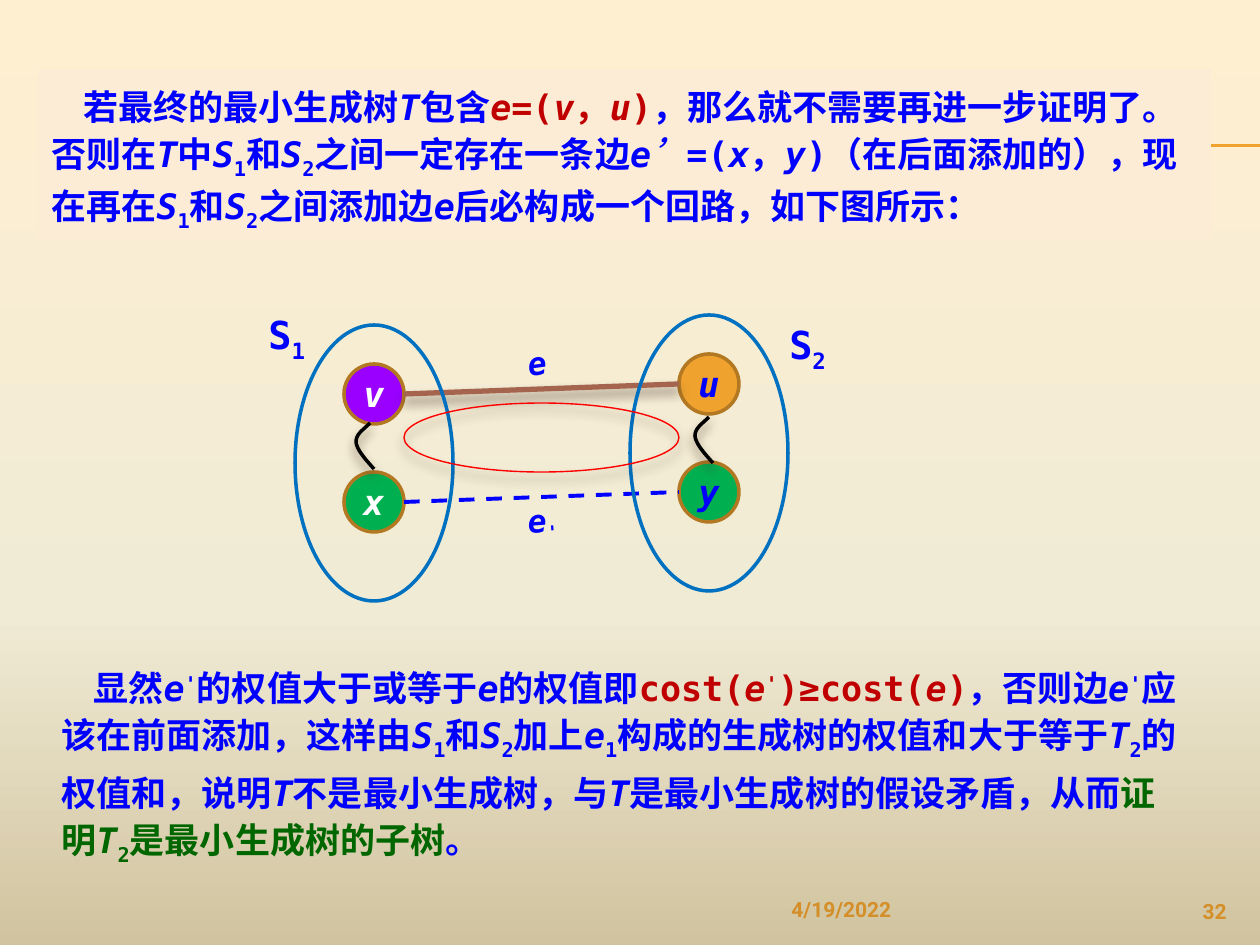
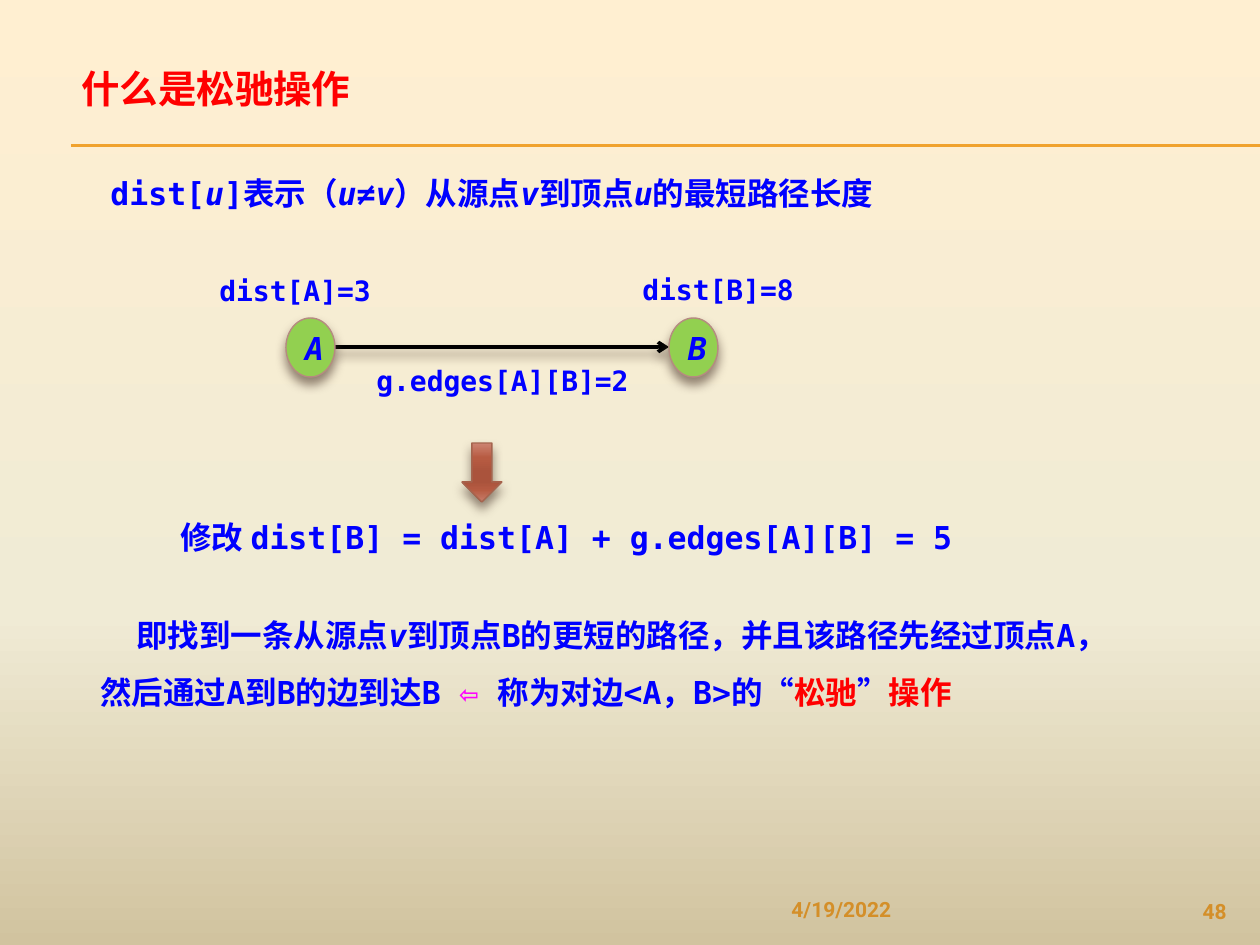
import pptx
import pptx.dml.color
import pptx.enum.dml
import pptx.enum.shapes
import pptx.enum.text
import pptx.oxml.ns
import pptx.util
from lxml import etree

RGB = pptx.dml.color.RGBColor
BLUE = RGB(0x00, 0x00, 0xFF)
RED = RGB(0xFF, 0x00, 0x00)
DARK_RED = RGB(0xC0, 0x00, 0x00)
DARK_GREEN = RGB(0x00, 0x66, 0x00)
MAGENTA = RGB(0xFF, 0x00, 0xFF)
WHITE = RGB(0xFF, 0xFF, 0xFF)
BLACK = RGB(0x00, 0x00, 0x00)
AMBER = RGB(0xF0, 0xA2, 0x2E)
BRONZE = RGB(0xB2, 0x78, 0x22)
FOOTER = RGB(0xD4, 0x8F, 0x29)
PURPLE = RGB(0x99, 0x00, 0xFF)
GREEN = RGB(0x00, 0xB0, 0x50)
LIME = RGB(0x92, 0xD0, 0x50)
SET_BLUE = RGB(0x00, 0x70, 0xC0)
BROWN = RGB(0xA5, 0x64, 0x4E)
ROSE = RGB(0xB5, 0x8B, 0x80)
CREAM = RGB(0xFC, 0xEC, 0xD5)
SHADOW = RGB(0x4E, 0x3B, 0x30)

BACKDROP = [(0, "FFEFD1"), (65, "F0EBD5"), (100, "D1C39F")]
CLAY = [(0, "CD8473"), (25, "B75B42"), (50, "AA533C"),
        (65, "AA533C"), (80, "B65B42"), (100, "C77D6B")]

MONO, HAN, SANS = "DejaVu Sans Mono", "Noto Sans CJK SC", "Roboto"
BASELINES = {"_": -25000, "^": 30000}
SHAPES = pptx.enum.shapes.MSO_SHAPE
ALIGN = pptx.enum.text.PP_ALIGN
ANCHOR = pptx.enum.text.MSO_ANCHOR
DASH = pptx.enum.dml.MSO_LINE.DASH
EMU_PER_PX = 914400 / 126


def emu(px):
    return pptx.util.Emu(round(px * EMU_PER_PX))


def set_all(target, values):
    for name, value in values.items():
        setattr(target, name, value)


def add_xml(parent, tag, **values):
    child = etree.SubElement(parent, pptx.oxml.ns.qn(tag))
    for name, value in values.items():
        child.set(name, str(value))
    return child


def paint_gradient(fill, element, stops):
    """Fill from top to bottom with (percent, colour) stops."""
    fill.gradient()
    fill.gradient_angle = 270
    stop_list = element.find(".//" + pptx.oxml.ns.qn("a:gsLst"))
    for stop in list(stop_list):
        stop_list.remove(stop)
    for percent, colour in stops:
        stop = add_xml(stop_list, "a:gs", pos=percent * 1000)
        add_xml(stop, "a:srgbClr", val=colour)


def split_marks(text):
    """Yield (text, italic, baseline); * is italic, _ subscript, ^ superscript."""
    piece, italic, baseline = "", False, 0
    for letter in text:
        if letter != "*" and letter not in BASELINES:
            piece += letter
            continue
        if piece:
            yield piece, italic, baseline
        piece = ""
        if letter == "*":
            italic = not italic
        else:
            baseline = 0 if baseline else BASELINES[letter]
    if piece:
        yield piece, italic, baseline


def bezier(start, first, second, end, steps=12):
    for step in range(1, steps + 1):
        t = step / steps
        weights = ((1 - t) ** 3, 3 * t * (1 - t) ** 2, 3 * t * t * (1 - t), t ** 3)
        yield tuple(sum(w * p[axis] for w, p in zip(weights, (start, first, second, end)))
                    for axis in (0, 1))


class SlideMaker:
    def __init__(self, deck):
        self.deck = deck
        set_all(self.deck, {"slide_width": emu(1260), "slide_height": emu(945)})
        self.page = None

    def new_page(self):
        self.page = self.deck.slides.add_slide(self.deck.slide_layouts[6])
        paint_gradient(self.page.background.fill, self.page.element, BACKDROP)
        for y in (145, 146):
            self.line((71, y), (1260, y), AMBER, 0.75)

    def footer(self, number):
        style = {"size": 12, "font": SANS}
        self.text((779, 890, 346, 40), [(FOOTER, "4/19/2022")], **style)
        self.text((1134, 892, 105, 34), [(FOOTER, number)], align=ALIGN.RIGHT, **style)

    def fill_text(self, box, spans, size, font=MONO, indent=0, **layout):
        """Put one paragraph of (colour, marked text) spans in the box."""
        box.text_frame.word_wrap = True
        para = box.text_frame.paragraphs[0]
        set_all(para, {"alignment": layout.get("align", ALIGN.LEFT),
                       "line_spacing": layout.get("spacing")})
        if indent:
            para._p.get_or_add_pPr().set("indent", str(emu(indent)))
        for colour, marked in spans:
            for piece, italic, baseline in split_marks(marked):
                span = para.add_run()
                span.text = piece
                set_all(span.font, {"name": font, "size": pptx.util.Pt(size),
                                    "bold": True, "italic": italic})
                span.font.color.rgb = colour
                properties = span._r.get_or_add_rPr()
                add_xml(properties, "a:ea", typeface=HAN)
                if baseline:
                    properties.set("baseline", str(baseline))

    def text(self, place, spans, size, turn=0, **style):
        box = self.page.shapes.add_textbox(*map(emu, place))
        box.rotation = turn
        self.fill_text(box, spans, size, **style)

    def finish(self, item, colour, width, shadow):
        """Set the outline and the shadow of a shape or a connector."""
        if colour is None:
            item.line.fill.background()
        else:
            item.line.color.rgb = colour
            item.line.width = pptx.util.Pt(width)
        effects = add_xml(item.element.spPr, "a:effectLst")
        if shadow:
            outer = add_xml(effects, "a:outerShdw", blurRad=76200, dist=50800,
                            dir=5400000, rotWithShape=0)
            tint = add_xml(outer, "a:srgbClr", val=SHADOW)
            add_xml(tint, "a:alpha", val=60000)

    def line(self, start, end, colour, width, dash=None, arrow=False, shadow=False):
        connector = self.page.shapes.add_connector(
            pptx.enum.shapes.MSO_CONNECTOR.STRAIGHT, *map(emu, start + end))
        self.finish(connector, colour, width, shadow)
        if dash:
            connector.line.dash_style = dash
        if arrow:
            add_xml(connector.line._get_or_add_ln(), "a:tailEnd", type="arrow")

    def shape(self, kind, place, fill=None, line=None, width=2, shadow=False):
        shape = self.page.shapes.add_shape(kind, *map(emu, place))
        if fill is None:
            shape.fill.background()
        elif isinstance(fill, list):
            paint_gradient(shape.fill, shape.element, fill)
        else:
            shape.fill.solid()
            shape.fill.fore_color.rgb = fill
        self.finish(shape, line, width, shadow)
        return shape

    def node(self, place, name, fill, ink, size, margin, **outline):
        node = self.shape(SHAPES.OVAL, place, fill, **outline)
        set_all(node.text_frame, {"margin_left": emu(margin), "margin_right": emu(margin),
                                  "vertical_anchor": ANCHOR.MIDDLE})
        self.fill_text(node, [(ink, f"*{name}*")], size, align=ALIGN.CENTER)

    def squiggle(self, left, top):
        offsets = [(0, 0), (-7, 7), (-14, 11), (-14, 19), (-13, 27), (-5, 36), (4, 46)]
        points = [(emu(left + x), emu(top + y)) for x, y in offsets]
        builder = self.page.shapes.build_freeform(*points[0])
        builder.add_line_segments([*bezier(*points[:4]), *bezier(*points[3:])], close=False)
        curve = builder.convert_to_shape()
        curve.fill.background()
        self.finish(curve, BLACK, 2, True)


def spanning_tree_proof(maker):
    maker.new_page()
    columns = [(344, 364, ("v", PURPLE, WHITE), ("x", GREEN, WHITE)),
               (679, 354, ("u", AMBER, BLUE), ("y", GREEN, BLUE))]
    for left, top, *nodes in columns:
        for row, (name, fill, ink) in enumerate(nodes):
            maker.node((left, top + 108 * row, 60, 60), name, fill, ink, 20, 0, line=BRONZE)
    maker.line((404, 394), (679, 384), BROWN, 3, shadow=True)
    maker.line((404, 502), (679, 492), BLUE, 2.25, dash=DASH)
    for left, top, *_ in columns:
        maker.shape(SHAPES.OVAL, (left - 49, top - 39, 158, 276), line=SET_BLUE)
    maker.text((515, 336, 66, 50), [(BLUE, "*e*")], 18, turn=-7.7)
    maker.text((515, 494, 66, 50), [(BLUE, "*e*_'_")], 18, turn=-3.8)
    maker.text((256, 305, 69, 59), [(BLUE, "S_1_")], 22)
    maker.text((777, 315, 88, 59), [(BLUE, "S_2_")], 22)
    maker.squiggle(370, 423)
    maker.squiggle(709, 417)
    maker.shape(SHAPES.OVAL, (404, 403, 275, 69), line=RED, width=0.79, shadow=True)

    prose = {"size": 20, "indent": 32, "spacing": pptx.util.Pt(30)}
    panel = maker.shape(SHAPES.RECTANGLE, (39, 69, 1172, 171), CREAM)
    panel.text_frame.vertical_anchor = ANCHOR.TOP
    maker.fill_text(panel, [
        (BLUE, "若最终的最小生成树*T*包含"),
        (DARK_RED, "*e*=(*v*，*u*)"),
        (BLUE, "，那么就不需要再进一步证明了。否则在*T*中*S*_1_和*S*_2_之间一定存在一条边"
               "*e’*=(*x*，*y*)（在后面添加的），现在再在*S*_1_和*S*_2_之间添加边*e*"
               "后必构成一个回路，如下图所示："),
    ], **prose)
    maker.text((49, 650, 1152, 224), [
        (BLUE, "显然*e*^'^的权值大于或等于*e*的权值即"),
        (DARK_RED, "cost(*e*^'^)≥cost(*e*)"),
        (BLUE, "，否则边*e*^'^应该在前面添加，这样由*S*_1_和*S*_2_加上*e*_1_"
               "构成的生成树的权值和大于等于*T*_2_的权值和，说明*T*不是最小生成树，"
               "与*T*是最小生成树的假设矛盾，从而"),
        (DARK_GREEN, "证明*T*_2_是最小生成树的子树"),
        (BLUE, "。"),
    ], **prose)
    maker.footer("32")


def relaxation(maker):
    maker.new_page()
    maker.text((69, 59, 472, 59), [(RED, "什么是松驰操作")], 22, font=HAN)
    maker.text((98, 168, 816, 50),
               [(BLUE, "dist[*u*]表示（*u*≠*v*）从源点*v*到顶点*u*的最短路径长度")], 18)
    maker.line((335, 347), (669, 347), BLACK, 2, arrow=True, shadow=True)
    maker.text((364, 357, 305, 47), [(BLUE, "g.edges[A][B]=2")], 16)
    for name, left in (("A", 286), ("B", 669)):
        maker.node((left, 318, 49, 59), name, LIME, BLUE, 18, 12,
                   line=ROSE, width=0.79, shadow=True)
    maker.text((207, 267, 207, 47), [(BLUE, "dist[A]=3")], 16)
    maker.text((630, 266, 207, 47), [(BLUE, "dist[B]=8")], 16)
    maker.shape(SHAPES.DOWN_ARROW, (462, 443, 40, 59), CLAY, BROWN, 0.79, shadow=True)
    maker.text((168, 512, 890, 50),
               [(BLUE, "修改 dist[B] = dist[A] + g.edges[A][B] = 5")], 18)
    maker.text((88, 591, 1033, 121), [
        (BLUE, "即找到一条从源点*v*到顶点B的更短的路径，并且该路径先经过顶点A，"
               "然后通过A到B的边到达B "),
        (MAGENTA, "⇦ "),
        (BLUE, "称为对边<A，B>的“"),
        (RED, "松驰"),
        (BLUE, "”"),
        (RED, "操作"),
    ], 18, indent=36, spacing=1.5)
    maker.footer("48")


def main():
    deck = pptx.Presentation()
    maker = SlideMaker(deck)
    spanning_tree_proof(maker)
    relaxation(maker)
    deck.save("out.pptx")


if __name__ == "__main__":
    main()
